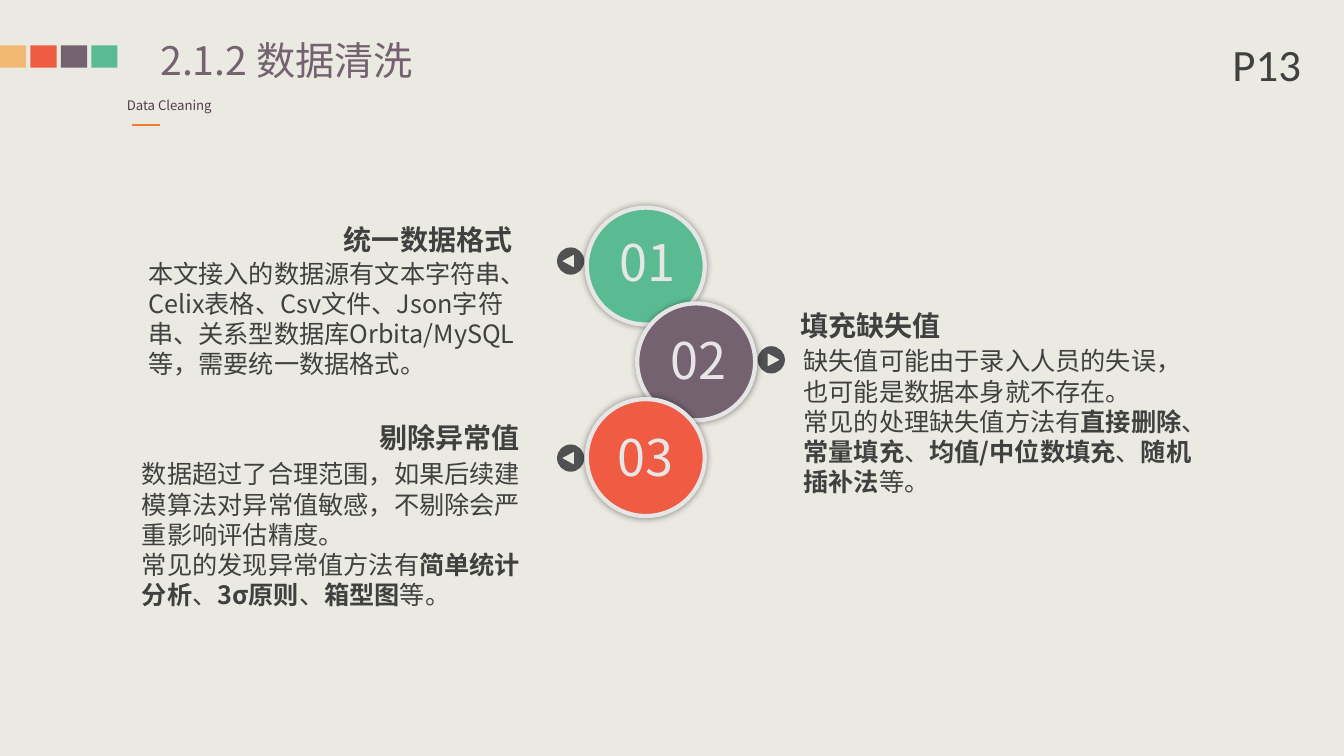
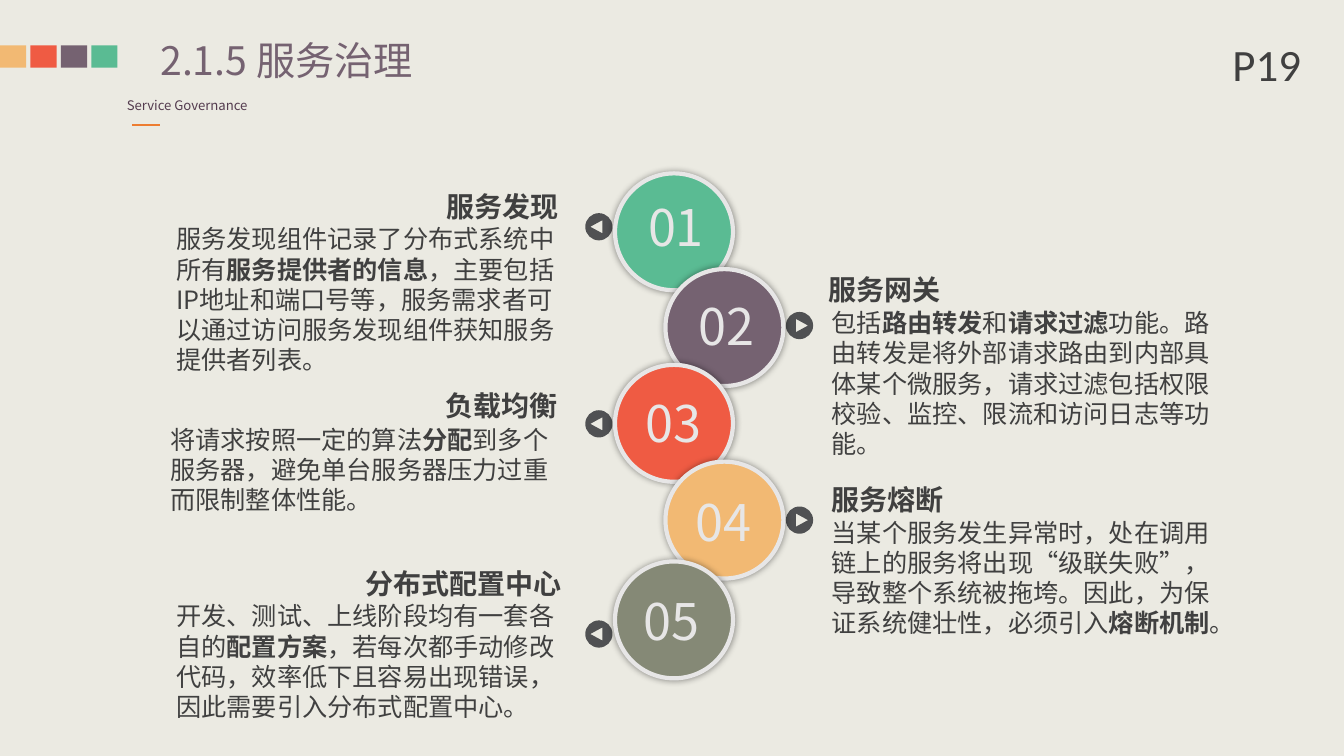
from dataclasses import dataclass

from lxml import etree
from pptx import Presentation
from pptx import util as u
from pptx.dml.color import RGBColor
from pptx.enum import shapes, text
from pptx.oxml import ns


@dataclass(frozen=True)
class Theme:
    font: str = "Noto Sans CJK SC"
    number_font: str = "Calibri"
    background: str = "EBEAE2"
    ink: str = "404040"
    subtitle: str = "543C4F"
    accent: str = "ED7D31"
    arrow: str = "505153"
    light: str = "E7E6E6"
    sand: str = "F2B973"
    red: str = "EF5B43"
    plum: str = "756271"
    green: str = "5ABB93"
    olive: str = "858976"


theme = Theme()
LEFT, CENTER, RIGHT = text.PP_ALIGN.LEFT, text.PP_ALIGN.CENTER, text.PP_ALIGN.RIGHT
STYLES = {
    "title": dict(size=28, color=theme.plum, line=33.6),
    "subtitle": dict(size=9.33, color=theme.subtitle, line=11.2),
    "page": dict(size=32, color=theme.ink, font=theme.number_font),
    "number": dict(size=36, color=theme.light, align=CENTER, line=43.2),
    "heading": dict(size=20, color=theme.ink, line=24, bold=True),
    "body": dict(size=18, color=theme.ink, line=21.6),
}

presentation = Presentation()
presentation.slide_width = u.Inches(13.33)
presentation.slide_height = u.Inches(7.5)
CELL = presentation.slide_height / 75


def cells(*values):
    return [u.Emu(round(value * CELL)) for value in values]


def write(shape, content, style, align=LEFT, margins=(1, 0.5, 1, 0.5)):
    look = STYLES[style]
    frame = shape.text_frame
    left, top, right, bottom = cells(*margins)
    anchor = text.MSO_ANCHOR.MIDDLE if style == "title" else text.MSO_ANCHOR.TOP
    frame_format = dict(word_wrap=True, auto_size=text.MSO_AUTO_SIZE.NONE, vertical_anchor=anchor,
                        margin_left=left, margin_top=top, margin_right=right, margin_bottom=bottom)
    for name, value in frame_format.items():
        setattr(frame, name, value)
    for index, line in enumerate(content.split("\n")):
        paragraph = frame.add_paragraph() if index else frame.paragraphs[0]
        paragraph.alignment = look.get("align", align)
        if "line" in look:
            paragraph.line_spacing = u.Pt(look["line"])
        for part, words in enumerate(line.split("*")):
            run = paragraph.add_run()
            run.text = words
            family = look.get("font", theme.font)
            font_format = dict(size=u.Pt(look["size"]), name=family,
                               bold=look.get("bold", part % 2 == 1))
            for name, value in font_format.items():
                setattr(run.font, name, value)
            run.font.color.rgb = RGBColor.from_string(look["color"])
            etree.SubElement(run._r.get_or_add_rPr(), ns.qn("a:ea"), typeface=family)


layout = presentation.slide_layouts[5]
layout.background.fill.solid()
layout.background.fill.fore_color.rgb = RGBColor.from_string(theme.background)
layout_title, *unused = layout.placeholders
for name, value in zip(("left", "top", "width", "height"), cells(15.9, 3.6, 39.9, 4.7)):
    setattr(layout_title, name, value)
for placeholder in unused:
    layout.shapes.element.remove(placeholder.element)

CIRCLE_COLORS = [theme.green, theme.plum, theme.red, theme.sand, theme.olive]
CIRCLE_DROPS = [0, 9.5, 19, 28.6, 38.5]
NUMBER_OFFSETS = [(1.9, 1.8), (1.9, 2.1), (1.7, 2.2), (1.6, 2.4), (1.5, 2.4)]
ARROW_DROPS = [5.3, 5.6, 5.85, 5.8, 7.2]
RADIUS = 135
CURVE = 0.55
QUARTERS = [(0, -RADIUS), (-RADIUS, 0), (0, RADIUS), (RADIUS, 0), (0, -RADIUS)]
TRIANGLE = [(-85, 0), (-25, 33), (35, 65), (35, 0), (35, -65), (-25, -33)]

SLIDES = [
    dict(title="2.1.2 数据清洗", subtitle="Data Cleaning", page="P13", left=58.2, top=20.6, topics=[
        ("统一数据格式", (32.3, 21.6, 19.5, 4.4),
         "本文接入的数据源有文本字符串、Celix表格、Csv文件、Json字符串、关系型数据库Orbita/MySQL等，需要统一数据格式。",
         (13.7, 25.1, 39.6, 13.1)),
        ("填充缺失值", (78.4, 30.1, 16.4, 4.4),
         "缺失值可能由于录入人员的失误，也可能是数据本身就不存在。\n"
         "常见的处理缺失值方法有*直接删除*、*常量填充*、*均值/中位数填充*、*随机插补法*等。",
         (78.7, 33.8, 40.5, 16.2)),
        ("剔除异常值", (36.6, 41.2, 15.9, 4.4),
         "数据超过了合理范围，如果后续建模算法对异常值敏感，不剔除会严重影响评估精度。\n"
         "常见的发现异常值方法有*简单统计分析*、*3σ原则*、*箱型图*等。",
         (13.1, 45, 40.8, 16.2)),
    ]),
    dict(title="2.1.5 服务治理", subtitle="Service Governance", page="P19", left=61, top=17.2, topics=[
        ("服务发现", (43.2, 18.3, 13.2, 4.4),
         "服务发现组件记录了分布式系统中所有*服务提供者的信息*，主要包括IP地址和端口号等，"
         "服务需求者可以通过访问服务发现组件获知服务提供者列表。",
         (16.5, 21.7, 41, 16.2)),
        ("服务网关", (81.2, 26.5, 13.6, 4.4),
         "包括*路由转发*和*请求过滤*功能。路由转发是将外部请求路由到内部具体某个微服务，"
         "请求过滤包括权限校验、监控、限流和访问日志等功能。",
         (81.5, 30, 40.5, 16.2)),
        ("负载均衡", (42.3, 38.1, 14, 4.4),
         "将请求按照一定的算法*分配*到多个服务器，避免单台服务器压力过重而限制整体性能。",
         (15.9, 41.6, 40.8, 10.1)),
        ("服务熔断", (81.5, 47.4, 13.3, 4.4),
         "当某个服务发生异常时，处在调用链上的服务将出现“级联失败”，导致整个系统被拖垮。"
         "因此，为保证系统健壮性，必须引入*熔断机制*。",
         (81.5, 50.8, 40.5, 13.1)),
        ("分布式配置中心", (34.8, 55.7, 21.9, 4.4),
         "开发、测试、上线阶段均有一套各自的*配置方案*，若每次都手动修改代码，"
         "效率低下且容易出现错误，因此需要引入分布式配置中心。",
         (16.5, 59.1, 41, 13.1)),
    ]),
]

for content in SLIDES:
    slide = presentation.slides.add_slide(layout)
    write(slide.shapes.title, content["title"], "title", margins=(0, 0, 0, 0))
    subtitle_width = 10.8 if content["page"] == "P13" else 14.3
    for style, box in [("subtitle", (11.6, 9.15, subtitle_width, 2.6)), ("page", (121.25, 3.2, 9.2, 6.4))]:
        write(slide.shapes.add_textbox(*cells(*box)), content[style], style)

    rule = slide.shapes.add_connector(shapes.MSO_CONNECTOR.STRAIGHT, *cells(13.1, 12.4, 15.9, 12.4))
    rule.line.color.rgb = RGBColor.from_string(theme.accent)
    rule.line.width = u.Pt(1.5)
    etree.SubElement(rule.element.spPr, ns.qn("a:effectLst"))

    for index, (heading, heading_box, body, body_box) in enumerate(content["topics"]):
        on_right = index % 2 == 1
        top = content["top"] + CIRCLE_DROPS[index]
        left = content["left"] + (5 if on_right else 0)

        turn = -1 if on_right else 1
        disc, triangle = [[(turn * x, y) for x, y in points] for points in (QUARTERS, TRIANGLE)]
        builder = slide.shapes.build_freeform(*disc[0], scale=CELL / 100)
        builder.add_line_segments(disc[1:], close=True)
        builder.move_to(*triangle[0])
        builder.add_line_segments(triangle[1:] + triangle[:1], close=True)
        arrow = builder.convert_to_shape(*cells(left + (13.3 if on_right else -1.6), top + ARROW_DROPS[index]))
        arrow.line.fill.background()
        straight_sides = arrow.element.xpath(".//a:lnTo")[:4]
        for side, (x1, y1), (x2, y2) in zip(straight_sides, disc, disc[1:]):
            side.tag = ns.qn("a:cubicBezTo")
            controls = [(x1 + CURVE * x2, y1 + CURVE * y2), (x2 + CURVE * x1, y2 + CURVE * y1)]
            for position, (x, y) in enumerate(controls):
                point = etree.Element(ns.qn("a:pt"), x=str(round(x + RADIUS)), y=str(round(y + RADIUS)))
                side.insert(position, point)

        circle = slide.shapes.add_shape(shapes.MSO_SHAPE.OVAL, *cells(left, top, 11.7, 11.6))
        circle.line.color.rgb = RGBColor.from_string(theme.light)
        circle.line.width = u.Pt(3)
        for shape, color in [(arrow, theme.arrow), (circle, CIRCLE_COLORS[index])]:
            shape.shadow.inherit = False
            shape.fill.solid()
            shape.fill.fore_color.rgb = RGBColor.from_string(color)
        effects = circle.element.spPr.find(ns.qn("a:effectLst"))
        glow = etree.SubElement(effects, ns.qn("a:outerShdw"), blurRad=str(u.Pt(5)), dist="0", dir="0")
        black = etree.SubElement(glow, ns.qn("a:srgbClr"), val="000000")
        etree.SubElement(black, ns.qn("a:alpha"), val="40000")

        across, down = NUMBER_OFFSETS[index]
        number = slide.shapes.add_textbox(*cells(left + across, top + down, 8.3, 7.1))
        write(number, f"{index + 1:02d}", "number")
        write(slide.shapes.add_textbox(*cells(*body_box)), body, "body")
        write(slide.shapes.add_textbox(*cells(*heading_box)), heading, "heading", LEFT if on_right else RIGHT)

for index, color in enumerate([theme.sand, theme.red, theme.plum, theme.green]):
    square = slide.shapes.add_shape(shapes.MSO_SHAPE.RECTANGLE, *cells(index * 3.02, 4.5, 2.6, 2.2))
    square.shadow.inherit = False
    square.fill.solid()
    square.fill.fore_color.rgb = RGBColor.from_string(color)
    square.line.fill.background()
    square.element.xpath(".//p:cNvPr")[0].set("id", str(101 + index))
    layout.shapes.element.append(square.element)

presentation.save("out.pptx")
